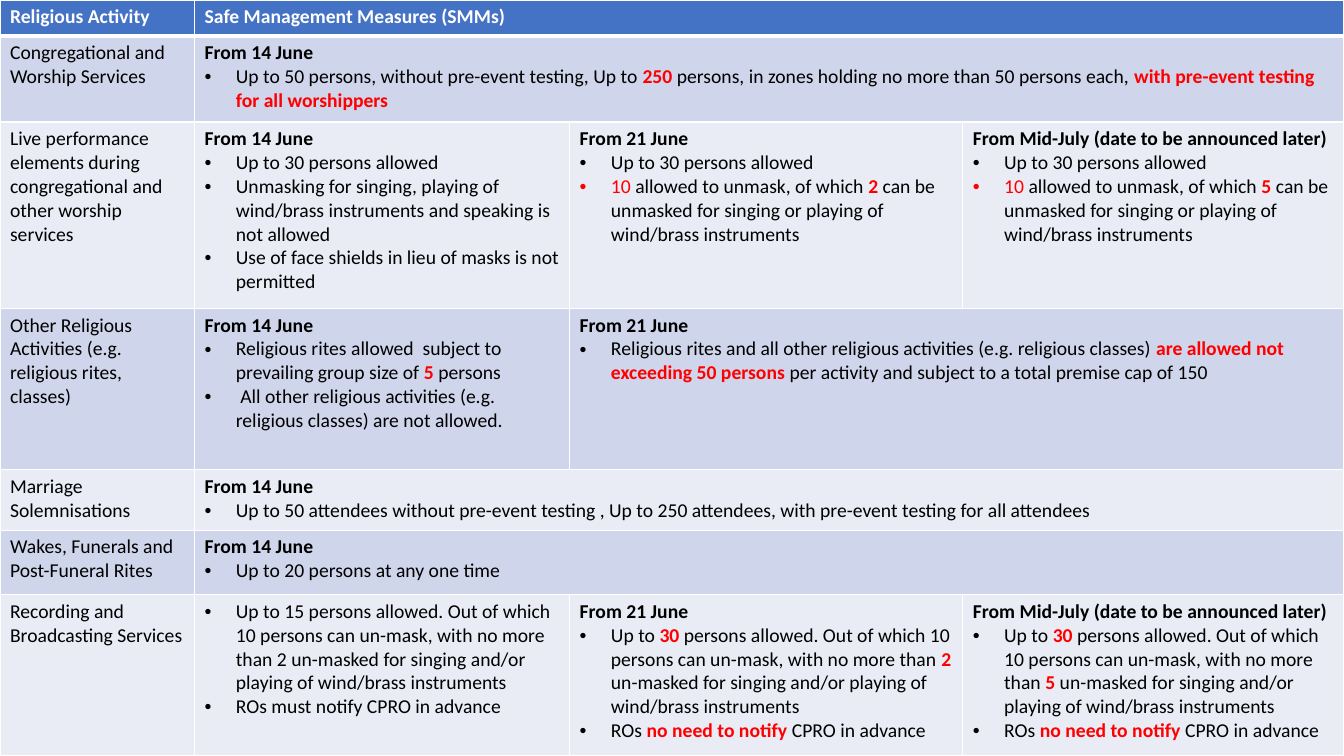
from dataclasses import dataclass

from lxml import etree
from pptx import Presentation
from pptx import util as u
from pptx.dml.color import RGBColor
from pptx.oxml import ns

PX = 9144  # EMU per px, 100 px to the inch
PAGE = (0, 0, 1333, 750)


@dataclass(frozen=True)
class Theme:
    font: str = "Calibri"
    size: int = 14
    ink: str = "000000"
    accent: str = "FF0000"
    paper: str = "FFFFFF"
    header: str = "4472C4"
    bands: tuple = ("E9EBF5", "CFD5EA")
    line: int = 1
    header_line: int = 3
    indent: int = 31


THEME = Theme()
COLUMNS = (193, 372, 390, 378)
ROWS = (36, 85, 185, 160, 60, 64, 160)

JUNE_14 = "From 14 June"
JUNE_21 = "From 21 June"
MID_JULY = "From Mid-July (date to be announced later)"


def performance(singers):
    return ("Up to 30 persons allowed",
            f"~10| allowed to unmask, of which |*{singers}| can be unmasked "
            "for singing or playing of wind/brass instruments")


def recording(singers):
    return ("Up to |*30 |persons allowed. Out of which 10 persons can un-mask, "
            f"with no more than |*{singers}| un-masked for singing and/or "
            "playing of wind/brass instruments",
            "ROs |*no need to notify |CPRO in advance")


# Each row: activity, then (heading, bullets) per measure.
# "|" parts the spans; "*" opens a bold accent span, "~" a plain accent span.
ACTIVITIES = (
    ("Congregational and Worship Services", (
        (JUNE_14, ("Up to 50 persons, without pre-event testing, Up to |*250 |"
                   "persons, in zones holding no more than 50 persons each, |"
                   "*with pre-event testing for all worshippers",)),)),
    ("Live performance elements during congregational and other worship services", (
        (JUNE_14, ("Up to 30 persons allowed",
                   "Unmasking for singing, playing of wind/brass instruments "
                   "and speaking is not allowed",
                   "Use of face shields in lieu of masks is not permitted")),
        (JUNE_21, performance(2)),
        (MID_JULY, performance(5)))),
    ("Other Religious Activities (e.g. religious rites, classes)", (
        (JUNE_14, ("Religious rites allowed  subject to prevailing group size "
                   "of |*5| persons",
                   " All other religious activities (e.g. religious classes) "
                   "are not allowed.")),
        (JUNE_21, ("Religious rites and all other religious activities (e.g. "
                   "religious classes) |*are allowed not exceeding 50 persons |"
                   "per activity and subject to a total premise cap of 150",)))),
    ("Marriage Solemnisations", (
        (JUNE_14, ("Up to 50 attendees without pre-event testing , Up to 250 "
                   "attendees, with pre-event testing for all attendees",)),)),
    ("Wakes, Funerals and Post-Funeral Rites", (
        (JUNE_14, ("Up to 20 persons at any one time",)),)),
    ("Recording and Broadcasting Services", (
        ("", ("Up to 15 persons allowed. Out of which 10 persons can un-mask, "
              "with no more than 2 un-masked for singing and/or playing of "
              "wind/brass instruments",
              "ROs must notify CPRO in advance")),
        (JUNE_21, recording(2)),
        (MID_JULY, recording(5)))),
)


def add_span(para, words, color, bold=False):
    span = para.add_run()
    span.text = words
    span.font.name = THEME.font
    span.font.size = u.Pt(THEME.size)
    span.font.bold = bold
    span.font.color.rgb = RGBColor.from_string(color)


def add_bullet(para, marked):
    properties = para._p.get_or_add_pPr()
    properties.set("marL", str(THEME.indent * PX))
    properties.set("indent", str(-THEME.indent * PX))
    etree.SubElement(properties, ns.qn("a:buFont"), typeface="Arial")
    etree.SubElement(properties, ns.qn("a:buChar"), char="•")
    for part in marked.split("|"):
        marker = part[0]
        color = THEME.accent if marker in "*~" else THEME.ink
        add_span(para, part.lstrip("*~"), color, marker == "*")


def write_measure(cell, heading, bullets):
    frame = cell.text_frame
    para = frame.paragraphs[0]
    if heading:
        add_span(para, heading, THEME.ink, True)
    for number, marked in enumerate(bullets):
        if heading or number:
            para = frame.add_paragraph()
        add_bullet(para, marked)


def paint_cell(cell, fill, bottom):
    cell.fill.solid()
    cell.fill.fore_color.rgb = RGBColor.from_string(fill)
    properties = cell._tc.get_or_add_tcPr()
    # Borders come before the fill, in the order left, right, top, bottom
    for order, side in enumerate("LRTB"):
        width = bottom if side == "B" else THEME.line
        border = etree.Element(ns.qn(f"a:ln{side}"), w=str(u.Pt(width)))
        solid = etree.SubElement(border, ns.qn("a:solidFill"))
        etree.SubElement(solid, ns.qn("a:srgbClr"), val=THEME.paper)
        properties.insert(order, border)


def add_measures_table(page, box):
    left, top, width, height = (length * PX for length in box)
    table = page.shapes.add_table(len(ROWS), len(COLUMNS),
                                  left, top, width, height).table
    for column, length in zip(table.columns, COLUMNS):
        column.width = length * PX
    for row, length in zip(table.rows, ROWS):
        row.height = length * PX

    # Fills and borders
    for number, row in enumerate(table.rows):
        fill = THEME.bands[number % 2] if number else THEME.header
        for cell in row.cells:
            paint_cell(cell, fill, THEME.line if number else THEME.header_line)

    # Header row
    last = len(COLUMNS) - 1
    table.cell(0, 1).merge(table.cell(0, last))
    for column, label in enumerate(("Religious Activity",
                                    "Safe Management Measures (SMMs)")):
        para = table.cell(0, column).text_frame.paragraphs[0]
        add_span(para, label, THEME.paper, True)

    # Activity rows: the last measure spans what is left of the row
    for number, (activity, measures) in enumerate(ACTIVITIES, start=1):
        para = table.cell(number, 0).text_frame.paragraphs[0]
        add_span(para, activity, THEME.ink)
        if len(measures) < last:
            table.cell(number, len(measures)).merge(table.cell(number, last))
        for column, (heading, bullets) in enumerate(measures, start=1):
            write_measure(table.cell(number, column), heading, bullets)


def main():
    deck = Presentation()
    deck.slide_width, deck.slide_height = (length * PX for length in PAGE[2:])
    page = deck.slides.add_slide(deck.slide_layouts[6])
    add_measures_table(page, PAGE)
    deck.save("out.pptx")


if __name__ == "__main__":
    main()
